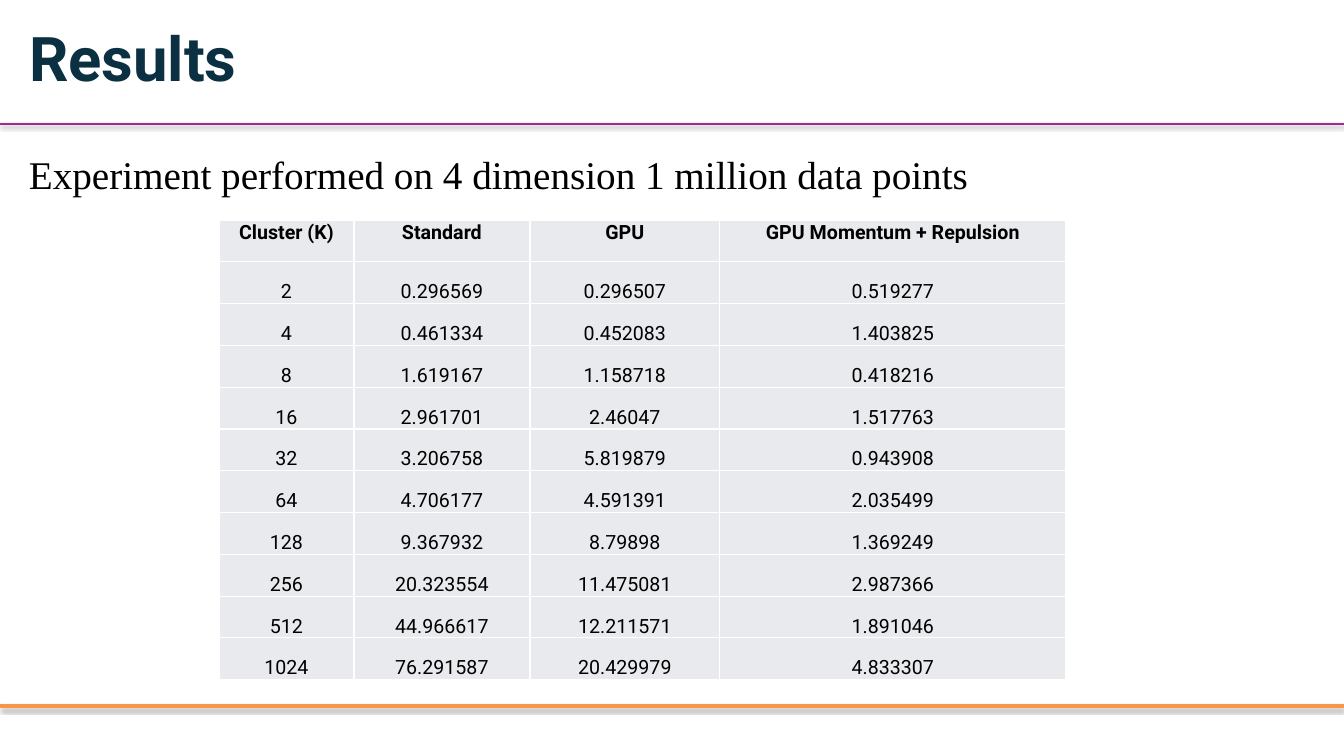
from lxml import etree
from pptx import Presentation
from pptx.dml.color import RGBColor
from pptx.enum.shapes import MSO_CONNECTOR
from pptx.enum.text import MSO_ANCHOR, MSO_AUTO_SIZE, PP_ALIGN
from pptx.oxml import parse_xml
from pptx.oxml.ns import nsdecls, qn
from pptx.util import Pt

STRAIGHT = MSO_CONNECTOR.STRAIGHT
TOP, MIDDLE, BOTTOM = MSO_ANCHOR.TOP, MSO_ANCHOR.MIDDLE, MSO_ANCHOR.BOTTOM
LEFT, CENTER = PP_ALIGN.LEFT, PP_ALIGN.CENTER

NAVY = RGBColor(0x0B, 0x30, 0x41)
BLACK = RGBColor(0x00, 0x00, 0x00)
PURPLE = RGBColor(0xA0, 0x2B, 0x93)
ORANGE = RGBColor(0xF7, 0x96, 0x46)
CELL_GREY = RGBColor(0xE8, 0xEA, 0xED)
WHITE = RGBColor(0xFF, 0xFF, 0xFF)

SLIDE_W, SLIDE_H = 1344, 756


def px(n):
    """Convert pixels at 100.8 to the inch into EMU."""
    return round(n * 914400 / 100.8)


def write(frame, text, align, font_name, size, color, bold=False):
    paragraph = frame.paragraphs[0]
    paragraph.alignment = align
    run = paragraph.add_run()
    run.text = text
    font = run.font
    font.name, font.size, font.bold = font_name, Pt(size), bold
    font.color.rgb = color
    return paragraph


prs = Presentation()
prs.slide_width, prs.slide_height = px(SLIDE_W), px(SLIDE_H)
slide = prs.slides.add_slide(prs.slide_layouts[5])

# Rules above and below the content: y, colour, points, shadow opacity, offset
RULES = [
    (124, PURPLE, 2, 38, 1.6),
    (706, ORANGE, 3, 35, 1.8),
]
for y, color, width, opacity, offset in RULES:
    rule = slide.shapes.add_connector(STRAIGHT, 0, px(y), px(SLIDE_W), px(y))
    rule.line.color.rgb = color
    rule.line.width = Pt(width)
    rule._element.spPr.append(parse_xml(
        f'<a:effectLst {nsdecls("a")}>'
        f'<a:outerShdw blurRad="{Pt(3.1)}" dist="{Pt(offset)}" dir="5400000" rotWithShape="0">'
        f'<a:srgbClr val="{BLACK}"><a:alpha val="{opacity * 1000}"/></a:srgbClr>'
        '</a:outerShdw></a:effectLst>'))

# Title
title = slide.shapes.title
title.left, title.top, title.width, title.height = px(19), px(9), px(831), px(106)
title.text_frame.auto_size = MSO_AUTO_SIZE.NONE
title.text_frame.vertical_anchor = MIDDLE
heading = write(title.text_frame, "Results", LEFT, "Roboto", 44, NAVY, bold=True)
heading.line_spacing = 0.9

# Experiment description
description = slide.shapes.add_textbox(px(19), px(151), px(1294), px(528)).text_frame
description.word_wrap = True
setup = write(description, "Experiment performed on 4 dimension 1 million data points",
              LEFT, "Times New Roman", 28, BLACK)
setup.line_spacing = 0.9

# Timings
TIMINGS = [
    ("Cluster (K)", "Standard", "GPU", "GPU Momentum + Repulsion"),
    ("2", "0.296569", "0.296507", "0.519277"),
    ("4", "0.461334", "0.452083", "1.403825"),
    ("8", "1.619167", "1.158718", "0.418216"),
    ("16", "2.961701", "2.46047", "1.517763"),
    ("32", "3.206758", "5.819879", "0.943908"),
    ("64", "4.706177", "4.591391", "2.035499"),
    ("128", "9.367932", "8.79898", "1.369249"),
    ("256", "20.323554", "11.475081", "2.987366"),
    ("512", "44.966617", "12.211571", "1.891046"),
    ("1024", "76.291587", "20.429979", "4.833307"),
]
COLUMN_WIDTHS = [135, 176, 190, 346]

timings = slide.shapes.add_table(len(TIMINGS), len(COLUMN_WIDTHS), px(219), px(220),
                                 px(sum(COLUMN_WIDTHS)), px(460)).table
for column, width in zip(timings.columns, COLUMN_WIDTHS):
    column.width = px(width)

for r, values in enumerate(TIMINGS):
    is_header = r == 0
    for c, value in enumerate(values):
        cell = timings.cell(r, c)
        cell.margin_left = cell.margin_top = cell.margin_right = px(1)
        cell.margin_bottom = 0
        cell.vertical_anchor = TOP if is_header else BOTTOM
        cell.fill.solid()
        cell.fill.fore_color.rgb = CELL_GREY
        write(cell.text_frame, value, CENTER, "Roboto", 14, BLACK, bold=is_header)
        properties = cell._tc.get_or_add_tcPr()
        for position, side in enumerate(("a:lnL", "a:lnR", "a:lnT", "a:lnB")):
            border = etree.Element(qn(side), w=str(Pt(1)))
            fill = etree.SubElement(border, qn("a:solidFill"))
            etree.SubElement(fill, qn("a:srgbClr"), val=str(WHITE))
            properties.insert(position, border)

prs.save("out.pptx")
